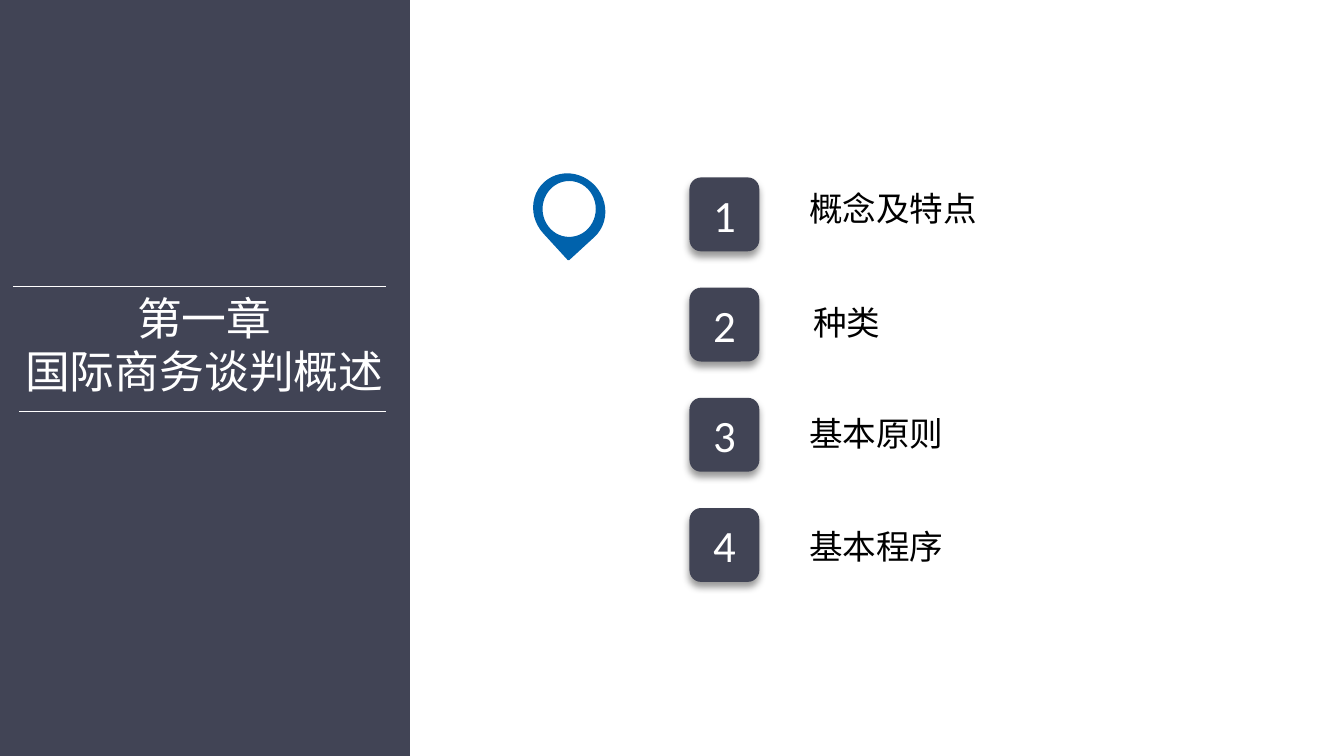
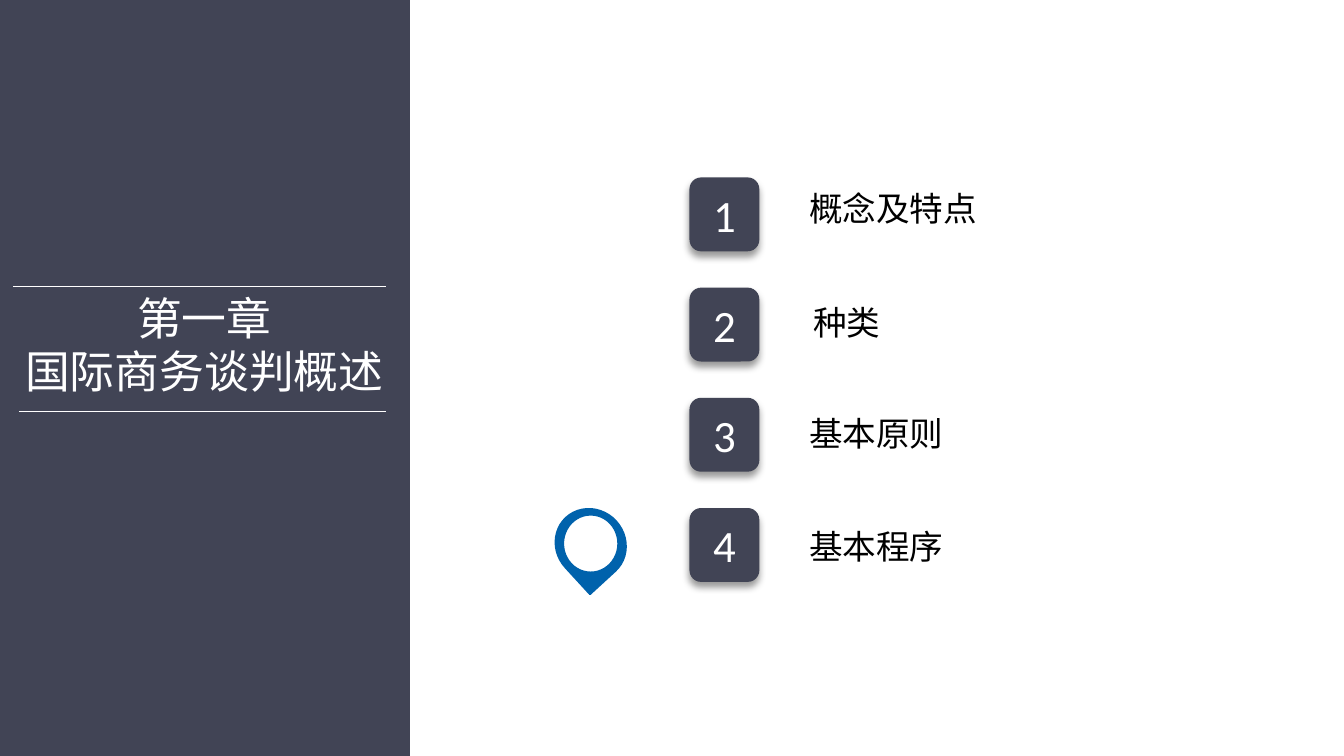
from lxml.etree import SubElement
from pptx import Presentation
from pptx.dml.color import RGBColor
from pptx.enum.shapes import MSO_CONNECTOR, MSO_SHAPE
from pptx.enum.text import MSO_ANCHOR, MSO_AUTO_SIZE, PP_ALIGN
from pptx.oxml import parse_xml
from pptx.oxml.ns import nsdecls, qn
from pptx.util import Inches, Pt

NAVY, BLUE, WHITE, BLACK = "414455", "0062AC", "FFFFFF", "000000"
HAN = "Noto Sans CJK SC"
WIDE, HIGH = 10, 10 * 9 / 16
BAND = 0.305 * WIDE

# Agenda grid: one row per topic, a badge column and a label column
TOP, ROW = 1.32, 0.82
BADGE, LABEL = 5.13, 5.95
TITLE = ["第一章", "国际商务谈判概述"]
# topic, shift right from the label column, drop below the row top, width
TOPICS = [
    ("概念及特点", 0, 0.04, 1.41),
    ("种类", 0.03, 0.07, 0.66),
    ("基本原则", 0, 0.07, 1.16),
    ("基本程序", 0, 0.09, 1.16),
]
# left and top of the pin on each slide
PINS = [(3.98, 1.29), (4.14, TOP + 3 * ROW)]
RULES = [(0.1, 2.13), (0.14, 3.06)]

SHADOW = (
    f'<a:effectLst {nsdecls("a")}><a:outerShdw blurRad="{Pt(4)}" dist="{Pt(3)}" '
    'dir="5400000" algn="t" rotWithShape="0"><a:srgbClr val="000000">'
    '<a:alpha val="40000"/></a:srgbClr></a:outerShdw></a:effectLst>'
)


def tint(fill, tone):
    """Make a shape, line or font fill solid in a hex colour."""
    fill.solid()
    fill.fore_color.rgb = RGBColor.from_string(tone)


def write(shape, lines, size, face, tone, align):
    frame = shape.text_frame
    frame.margin_left = frame.margin_right = Inches(0.07)
    frame.margin_top = frame.margin_bottom = Inches(0.04)
    for i, line in enumerate(lines):
        para = frame.paragraphs[0] if i == 0 else frame.add_paragraph()
        para.alignment = align
        run = para.add_run()
        run.text = line
        run.font.size = Pt(size)
        run.font.name = face
        tint(run.font.fill, tone)
        SubElement(run.font._element, qn("a:ea"), typeface=HAN)


deck = Presentation()
deck.slide_width, deck.slide_height = Inches(WIDE), Inches(HIGH)

for left, top in PINS:
    slide = deck.slides.add_slide(deck.slide_layouts[6])
    tint(slide.background.fill, WHITE)
    shapes = slide.shapes

    # Side band with the chapter title
    band = shapes.add_shape(MSO_SHAPE.RECTANGLE, 0, 0, Inches(BAND), Inches(HIGH))
    band.shadow.inherit = False
    tint(band.fill, NAVY)
    band.line.fill.background()
    title = shapes.add_textbox(Inches(0.1), Inches(2.12), Inches(2.84), Inches(0.88))
    title.text_frame.word_wrap = False
    title.text_frame.auto_size = MSO_AUTO_SIZE.SHAPE_TO_FIT_TEXT
    write(title, TITLE, 24, "Times New Roman", WHITE, PP_ALIGN.CENTER)

    # Numbered topics
    for i, (topic, shift, drop, width) in enumerate(TOPICS):
        y = TOP + i * ROW
        badge = shapes.add_shape(MSO_SHAPE.ROUNDED_RECTANGLE, Inches(BADGE), Inches(y),
                                 Inches(0.52), Inches(0.55))
        tint(badge.fill, NAVY)
        badge.line.fill.background()
        badge._element.spPr.append(parse_xml(SHADOW))
        badge.text_frame.vertical_anchor = MSO_ANCHOR.MIDDLE
        write(badge, [str(i + 1)], 24, "Calibri", WHITE, PP_ALIGN.CENTER)

        label = shapes.add_textbox(Inches(LABEL + shift), Inches(y + drop),
                                   Inches(width), Inches(0.38))
        label.text_frame.word_wrap = False
        label.text_frame.auto_size = MSO_AUTO_SIZE.SHAPE_TO_FIT_TEXT
        write(label, [topic], 18, HAN, BLACK, PP_ALIGN.LEFT)

    # Pin beside the current topic
    pin = shapes.add_group_shape()
    for kind, inset, width, height, tone, turn in [
        (MSO_SHAPE.TEAR, 0, 0.51, 0.54, BLUE, 137.5),
        (MSO_SHAPE.OVAL, 0.05, 0.41, 0.43, WHITE, 0),
    ]:
        part = pin.shapes.add_shape(kind, Inches(left + inset), Inches(top + inset),
                                    Inches(width), Inches(height))
        part.rotation = turn
        part.shadow.inherit = False
        tint(part.fill, tone)
        tint(part.line.fill, BLUE)
        part.line.width = Pt(1)

    # Rules above and below the title
    pair = shapes.add_group_shape()
    for x, y in RULES:
        rule = pair.shapes.add_connector(MSO_CONNECTOR.STRAIGHT, Inches(x), Inches(y),
                                         Inches(2.87), Inches(y))
        tint(rule.line.fill, WHITE)
        rule.line.width = Pt(0.5)
        SubElement(rule._element.spPr, qn("a:effectLst"))

deck.save("out.pptx")
